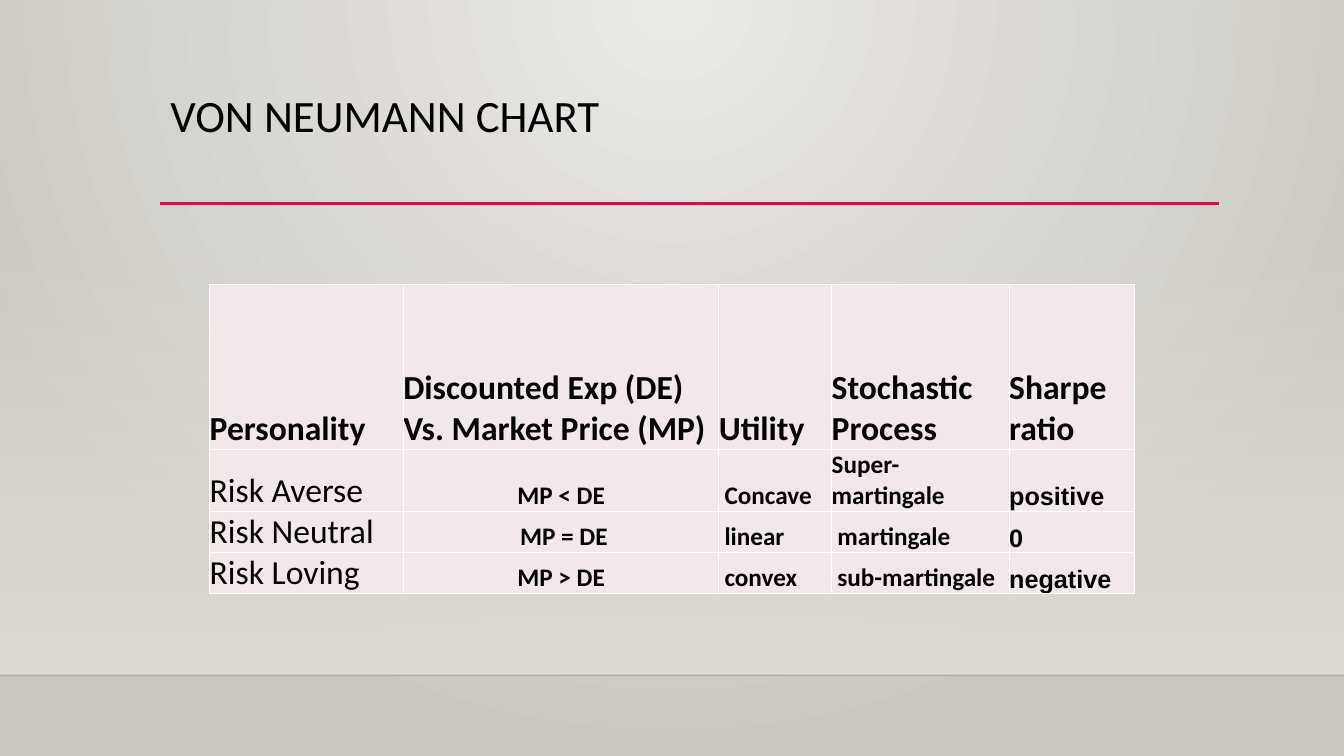
from lxml.etree import SubElement
from pptx import Presentation
from pptx.dml.color import RGBColor
from pptx.enum.shapes import MSO_CONNECTOR, MSO_SHAPE
from pptx.enum.text import MSO_ANCHOR, PP_ALIGN
from pptx.oxml.ns import qn
from pptx.util import Inches, Pt

TITLE = "VON NEUMANN CHART"
HEADINGS = ["Personality", "Discounted Exp (DE) Vs. Market Price (MP)", "Utility",
            "Stochastic\nProcess", "Sharpe ratio"]
ATTITUDES = [
    ["Risk Averse", "MP\u00a0< DE", "\u00a0Concave", "Super-martingale\u00a0", "positive"],
    ["Risk Neutral", "\u00a0MP = DE", "\u00a0linear", "\u00a0martingale", "0"],
    ["Risk Loving", "MP\u00a0> DE", "\u00a0convex", "\u00a0sub-martingale", "negative"],
]
COLUMN_WIDTHS = [1.92, 3.13, 1.12, 1.76, 1.24]
ROW_HEIGHTS = [1.64, 0.41, 0.41, 0.41]
PERSONALITY, PRICE, SHARPE = 0, 1, 4
WIDTH, HEIGHT, FLOOR = 13.33, 7.5, 6.7
LEFT, CONTENT_WIDTH = 1.59, 10.5
BLACK, WHITE, CELL, ACCENT = "000000", "FFFFFF", "F3E8E9", "B71E42"


def rgb(color):
    """Turn a hex string into a colour."""
    return RGBColor.from_string(color)


def add_color(parent, color, opacity=100):
    """Append a colour with its opacity in percent."""
    node = SubElement(parent, qn("a:srgbClr"), val=color)
    if opacity < 100:
        SubElement(node, qn("a:alpha"), val=str(opacity * 1000))


def set_gradient(fill, owner, stops):
    """Fill with (position, colour, opacity) stops; return the gradient."""
    fill.gradient()
    gradient = owner.find(".//" + qn("a:gradFill"))
    for child in list(gradient):
        gradient.remove(child)
    stop_list = SubElement(gradient, qn("a:gsLst"))
    for position, color, opacity in stops:
        stop = SubElement(stop_list, qn("a:gs"), pos=str(position * 1000))
        add_color(stop, color, opacity)
    return gradient


def add_rule(slide, left, top, width, color, weight, opacity=100):
    """Draw a horizontal line."""
    rule = slide.shapes.add_connector(MSO_CONNECTOR.STRAIGHT, Inches(left), Inches(top),
                                      Inches(left + width), Inches(top))
    rule.line.width = Pt(weight)
    rule.line.color.rgb = rgb(color)
    if opacity < 100:
        solid = rule.line._get_or_add_ln().find(qn("a:solidFill"))
        solid.remove(solid[0])
        add_color(solid, color, opacity)
    SubElement(rule.element.spPr, qn("a:effectLst"))


def add_text(paragraph, text, size, bold=False, font="Calibri"):
    """Add one black run."""
    run = paragraph.add_run()
    run.text = text
    run.font.size, run.font.bold, run.font.name = Pt(size), bold, font
    run.font.color.rgb = rgb(BLACK)


def set_borders(cell):
    """Give a cell thin white borders on all sides."""
    properties = cell._tc.get_or_add_tcPr()
    for position, side in enumerate(("a:lnL", "a:lnR", "a:lnT", "a:lnB")):
        border = SubElement(properties, qn(side), w=str(Pt(1)))
        add_color(SubElement(border, qn("a:solidFill")), WHITE)
        properties.insert(position, border)


def fill_cell(cell, text, row, column):
    """Style a cell by its row and column and write its text."""
    cell.fill.solid()
    cell.fill.fore_color.rgb = rgb(CELL)
    set_borders(cell)
    cell.vertical_anchor = MSO_ANCHOR.BOTTOM
    cell.margin_left = cell.margin_right = cell.margin_top = cell.margin_bottom = 0
    heading = row == 0
    size = 24 if heading or column == PERSONALITY else 18
    bold = heading or column != PERSONALITY
    font = "Arial" if column == SHARPE and not heading else "Calibri"
    for index, line in enumerate(text.split("\n")):
        frame = cell.text_frame
        paragraph = frame.add_paragraph() if index else frame.paragraphs[0]
        centred = column == PRICE and not heading
        paragraph.alignment = PP_ALIGN.CENTER if centred else PP_ALIGN.LEFT
        add_text(paragraph, line, size, bold, font)


def add_backdrop(slide):
    """Paint the radial wall, the fading panel and the floor edge."""
    wall = set_gradient(slide.background.fill, slide.element,
                        [(0, "ECEAE7", 100), (100, "CAC7C1", 100)])
    glow = SubElement(wall, qn("a:path"), path="circle")
    SubElement(glow, qn("a:fillToRect"), l="43000", t="0", r="43000", b="100000")
    panel = slide.shapes.add_shape(MSO_SHAPE.RECTANGLE, 0, Inches(2.21),
                                   Inches(WIDTH), Inches(FLOOR - 2.21))
    panel.shadow.inherit = False
    panel.line.fill.background()
    fade = set_gradient(panel.fill, panel.element,
                        [(0, "DFDBD5", 0), (100, "DFDBD5", 100)])
    SubElement(fade, qn("a:lin"), ang="5400000", scaled="0")
    add_rule(slide, 0, FLOOR, WIDTH, "000001", 1, opacity=20)


def add_title(slide):
    """Place the title above its red rule."""
    add_rule(slide, LEFT, 2.02, CONTENT_WIDTH, ACCENT, 2.5)
    title = slide.shapes.title
    title.left, title.top = Inches(LEFT), Inches(0.88)
    title.width, title.height = Inches(CONTENT_WIDTH), Inches(1.15)
    title.text_frame.vertical_anchor = MSO_ANCHOR.TOP
    paragraph = title.text_frame.paragraphs[0]
    paragraph.alignment = PP_ALIGN.LEFT
    paragraph.line_spacing = 0.9
    add_text(paragraph, TITLE, 32)


def add_attitudes(slide):
    """Build the table of risk attitudes."""
    rows = [HEADINGS, *ATTITUDES]
    table = slide.shapes.add_table(len(rows), len(HEADINGS), Inches(2.08), Inches(2.82),
                                   Inches(sum(COLUMN_WIDTHS)),
                                   Inches(sum(ROW_HEIGHTS))).table
    table.first_row = table.horz_banding = False
    for column, width in zip(table.columns, COLUMN_WIDTHS):
        column.width = Inches(width)
    for row, height in zip(table.rows, ROW_HEIGHTS):
        row.height = Inches(height)
    for row, texts in enumerate(rows):
        for column, text in enumerate(texts):
            fill_cell(table.cell(row, column), text, row, column)


deck = Presentation()
deck.slide_width, deck.slide_height = Inches(WIDTH), Inches(HEIGHT)
chart_slide = deck.slides.add_slide(deck.slide_layouts[5])
add_backdrop(chart_slide)
add_title(chart_slide)
add_attitudes(chart_slide)
deck.save("out.pptx")
